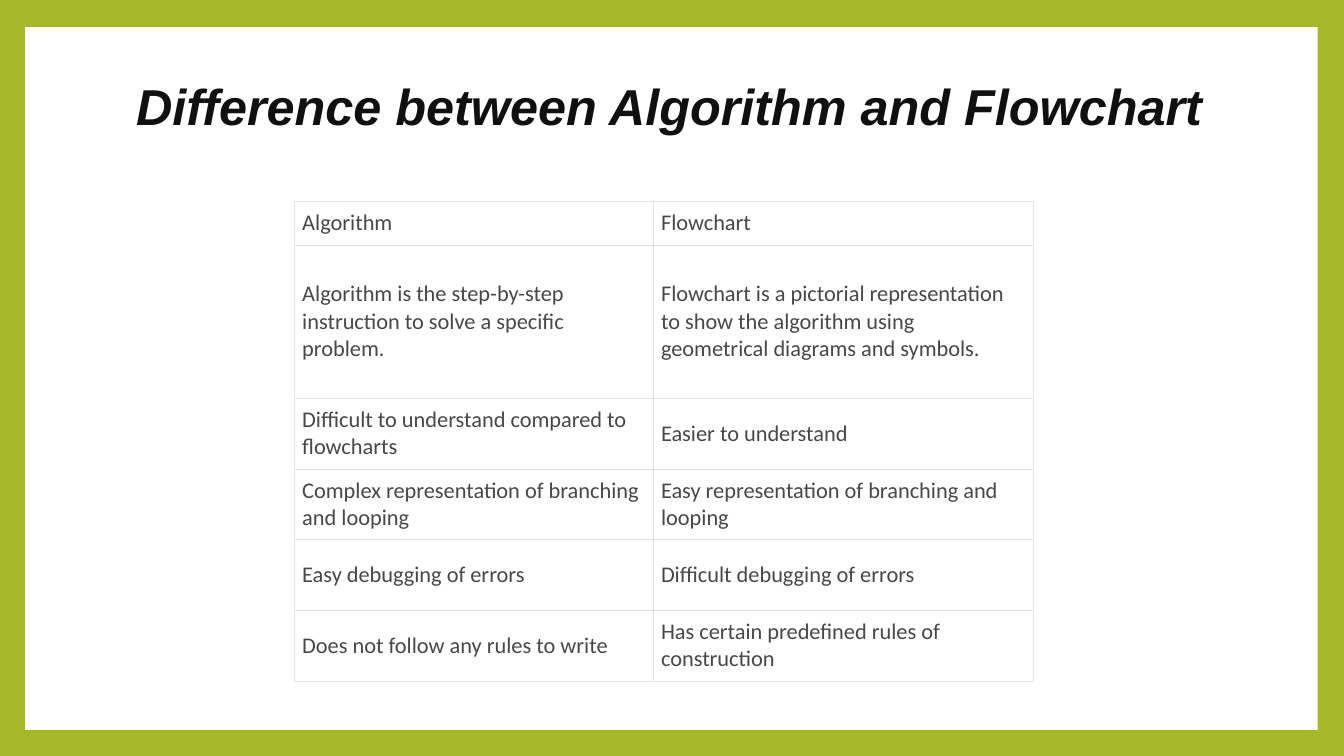
from lxml import etree
from pptx import Presentation
from pptx.dml.color import RGBColor
from pptx.enum import shapes, text
from pptx.oxml import ns
from pptx.util import Pt

TITLE = "Difference between Algorithm and Flowchart"
ROWS = [
    ("Algorithm", "Flowchart"),
    ("Algorithm is the step-by-step instruction to solve a specific problem.",
     "Flowchart is a pictorial representation to show the algorithm using "
     "geometrical diagrams and symbols."),
    ("Difficult to understand compared to flowcharts", "Easier to understand"),
    ("Complex representation of branching and looping",
     "Easy representation of branching and looping"),
    ("Easy debugging of errors", "Difficult debugging of errors"),
    ("Does not follow any rules to write",
     "Has certain predefined rules of construction"),
]
WIDTHS = (256.3, 271.4)
HEIGHTS = (31, 109.4) + (50.4,) * 4
GREEN, WHITE, INK, GREY, RULE = "A6B727", "FFFFFF", "101010", "484848", "E3E3E3"


def paint(fill, color):
    fill.solid()
    fill.fore_color.rgb = RGBColor.from_string(color)


def write(para, words, font, size, color, bold=False, slant=False):
    run = para.add_run()
    run.text = words
    run.font.name = font
    run.font.size = Pt(size)
    run.font.bold = bold
    run.font.italic = slant
    run.font.color.rgb = RGBColor.from_string(color)


def border(cell, color, width):
    props = cell._tc.get_or_add_tcPr()
    for side in ("lnL", "lnR", "lnT", "lnB"):
        line = etree.SubElement(props, ns.qn("a:" + side), w=str(Pt(width)))
        fill = etree.SubElement(line, ns.qn("a:solidFill"))
        etree.SubElement(fill, ns.qn("a:srgbClr"), val=color)


def main():
    deck = Presentation()
    deck.slide_width, deck.slide_height = Pt(960), Pt(540)
    slide = deck.slides.add_slide(deck.slide_layouts[5])
    paint(slide.background.fill, GREEN)

    panel = slide.shapes.add_shape(
        shapes.MSO_SHAPE.RECTANGLE, Pt(18), Pt(19.3), Pt(923.3), Pt(502))
    panel.shadow.inherit = False
    paint(panel.fill, WHITE)
    panel.line.fill.background()
    slide.shapes._spTree.insert(2, panel._element)

    title = slide.shapes.title
    title.left, title.top = Pt(90), Pt(48.2)
    title.width, title.height = Pt(777.6), Pt(106.6)
    frame = title.text_frame
    frame.word_wrap = True
    frame.auto_size = text.MSO_AUTO_SIZE.NONE
    frame.vertical_anchor = text.MSO_ANCHOR.TOP
    frame.margin_top = Pt(10)
    para = frame.paragraphs[0]
    para.alignment = text.PP_ALIGN.LEFT
    para.line_spacing = 0.9
    write(para, TITLE, "Arial", 36, INK, True, True)

    table = slide.shapes.add_table(
        len(ROWS), len(WIDTHS), Pt(210.2), Pt(144),
        Pt(sum(WIDTHS)), Pt(sum(HEIGHTS))).table
    table.first_row = table.horz_banding = False
    for col, width in zip(table.columns, WIDTHS):
        col.width = Pt(width)
    for row, height, pair in zip(table.rows, HEIGHTS, ROWS):
        row.height = Pt(height)
        for cell, words in zip(row.cells, pair):
            cell.margin_left = cell.margin_right = Pt(5.7)
            cell.margin_top = cell.margin_bottom = Pt(5.7)
            cell.vertical_anchor = text.MSO_ANCHOR.MIDDLE
            border(cell, RULE, 0.6)
            paint(cell.fill, WHITE)
            write(cell.text_frame.paragraphs[0], words, "Calibri", 16, GREY)

    deck.save("out.pptx")


if __name__ == "__main__":
    main()
